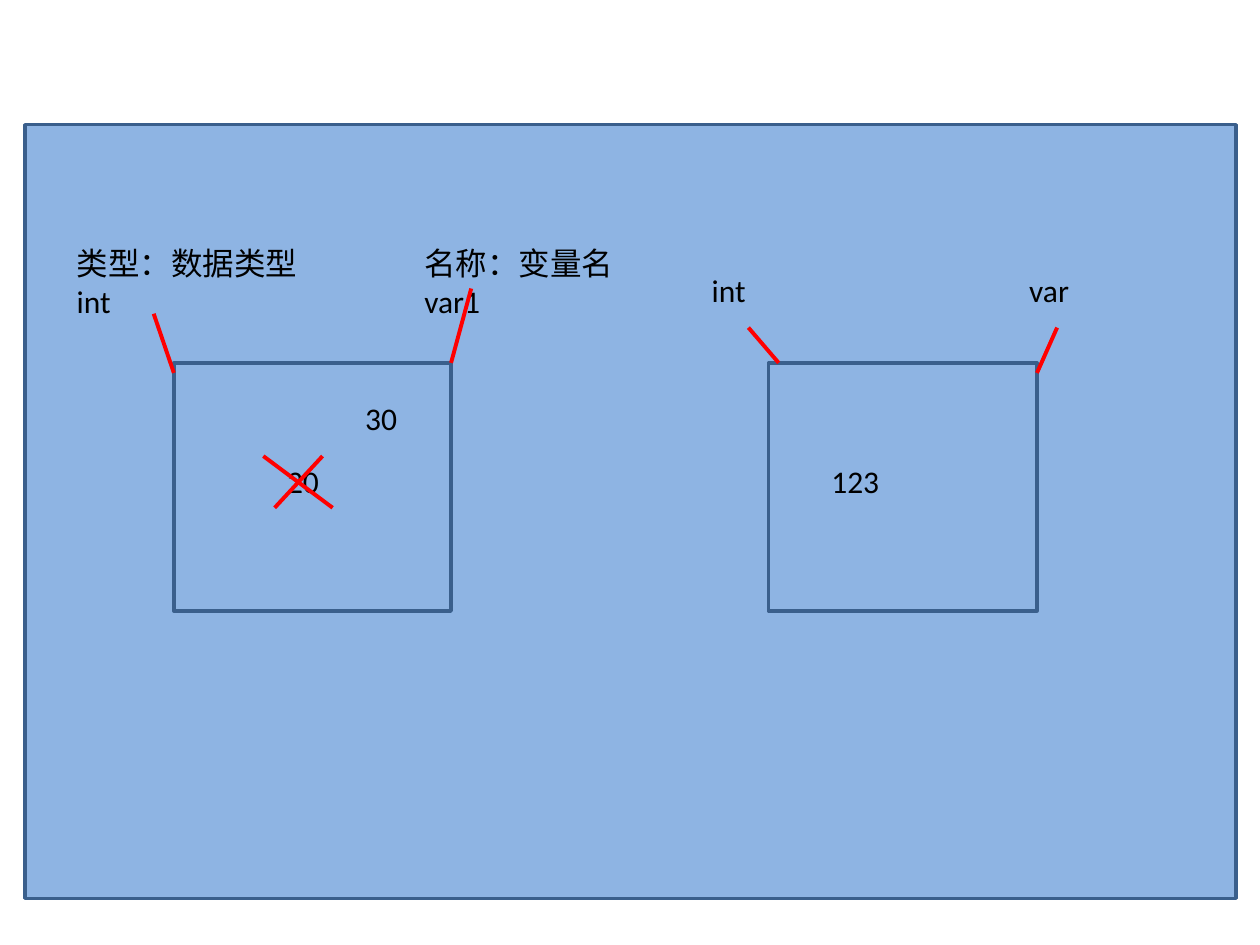
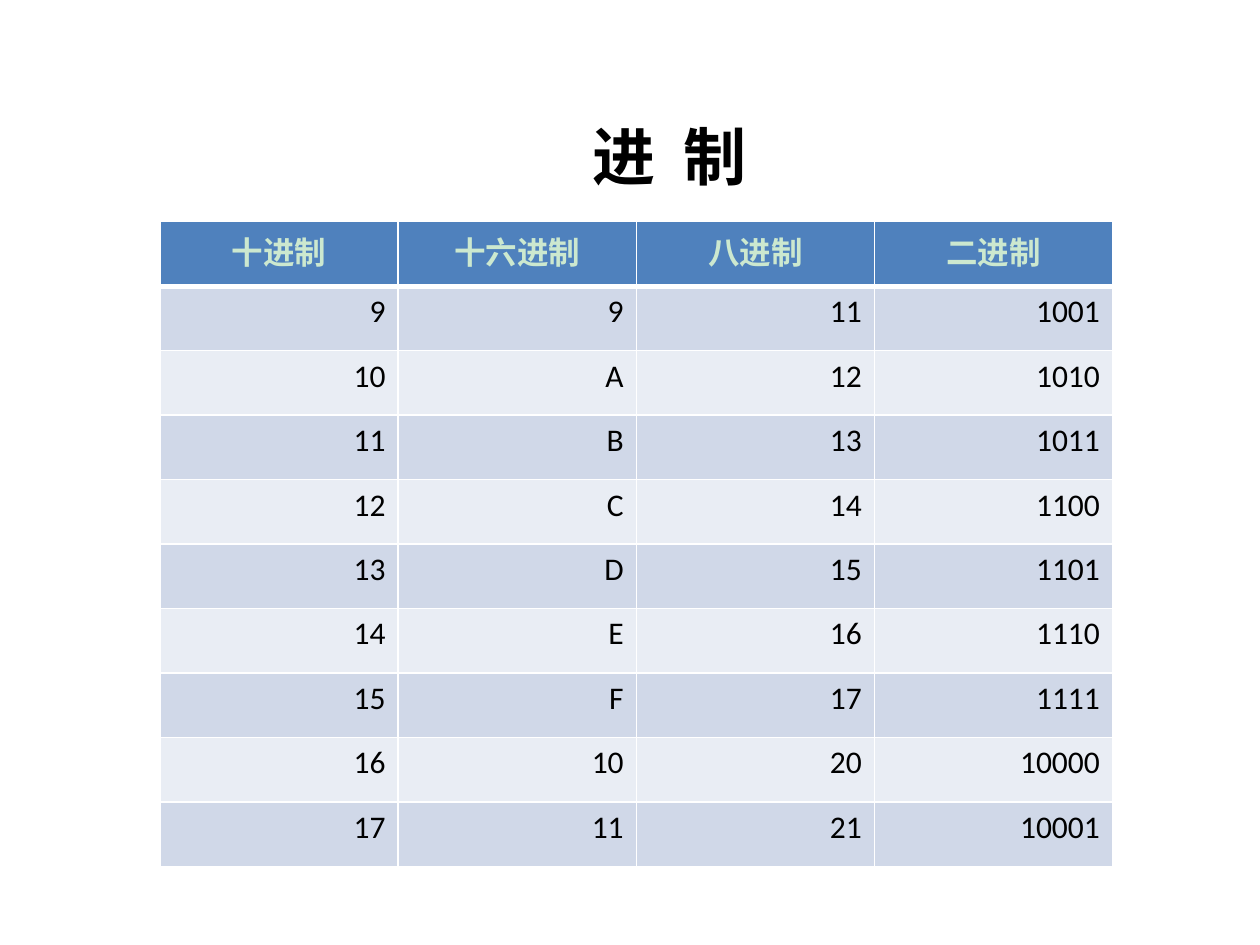
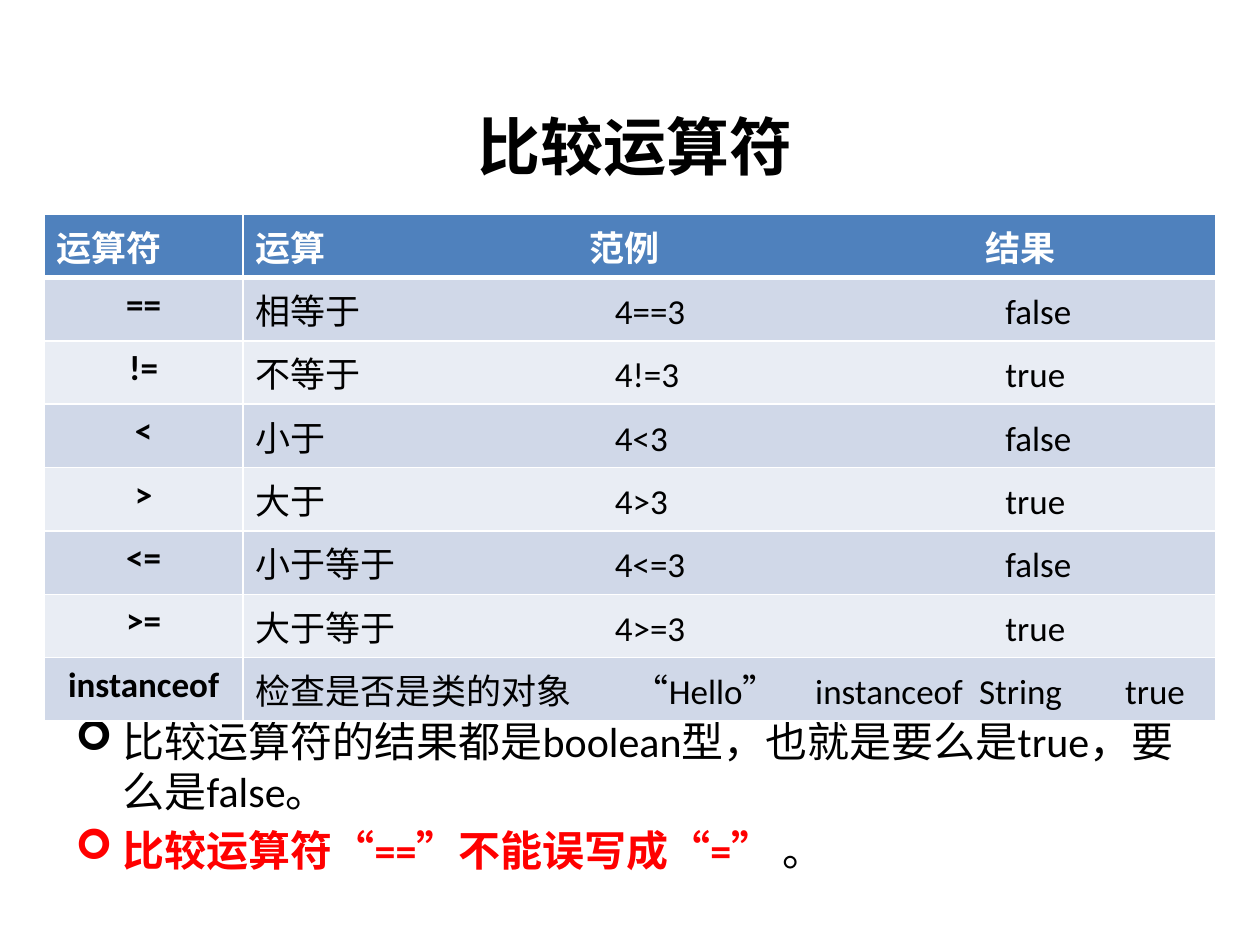
"""Build three slides on variables, number bases and comparison operators."""
from lxml import etree
from pptx import Presentation, util as u
from pptx.dml.color import RGBColor
from pptx.enum import shapes, text
from pptx.oxml.ns import qn

COLORS = {
    "memory": "8EB4E3", "outline": "3A5F8C", "red": "FF0000", "black": "000000",
    "white": "FFFFFF", "mint": "CCE8CF", "header": "4F81BD",
    "odd": "D0D8E8", "even": "E9EDF4",
}
RGB = {name: RGBColor.from_string(value) for name, value in COLORS.items()}
ALIGN = text.PP_ALIGN
COLUMNS, ROWS = 100, 75

presentation = Presentation()
presentation.slide_width, presentation.slide_height = u.Inches(10), u.Inches(7.5)
UNIT = presentation.slide_width // COLUMNS


def write(paragraph, words, size=18, color="black", bold=False, font="Calibri",
          align=ALIGN.LEFT, spacing=0):
    paragraph.alignment = align
    run = paragraph.add_run()
    run.text = words
    run.font.size, run.font.bold, run.font.name = u.Pt(size), bold, font
    run.font.color.rgb = RGB[color]
    if spacing:
        run.font._element.set("spc", str(spacing * 100))


def build_table(slide, rows, left, top, widths, row_height, formats, tabs):
    box = [int(v * UNIT) for v in (left, top, sum(widths), row_height * len(rows))]
    table = slide.shapes.add_table(len(rows), len(widths), *box).table
    for column, width in zip(table.columns, widths):
        column.width = int(width * UNIT)
    for r, row in enumerate(rows):
        table.rows[r].height = int(row_height * UNIT)
        for c, words in enumerate(row):
            cell = table.cell(r, c)
            properties = cell._tc.get_or_add_tcPr()
            for side in "LRTB":
                thick = (r, side) in ((0, "B"), (1, "T"))
                border = etree.SubElement(properties, qn(f"a:ln{side}"),
                                          w=str(u.Pt(3 if thick else 1)))
                fill = etree.SubElement(border, qn("a:solidFill"))
                etree.SubElement(fill, qn("a:srgbClr"), val=COLORS["white"])
            cell.fill.solid()
            cell.fill.fore_color.rgb = RGB["header" if r == 0 else "odd" if r % 2 else "even"]
            paragraph = cell.text_frame.paragraphs[0]
            if "\t" in words:
                tab_list = etree.SubElement(paragraph._p.get_or_add_pPr(), qn("a:tabLst"))
                for stop in tabs.get(r, tabs["default"]):
                    etree.SubElement(tab_list, qn("a:tab"), pos=str(int(stop * UNIT)), algn="l")
            write(paragraph, words, **formats["header" if r == 0 else c])


variables, bases, comparison = [
    presentation.slides.add_slide(presentation.slide_layouts[6]) for _ in range(3)]

for box in ((2, 9.9, 96.1, 61.4), (13.8, 28.8, 22, 19.7), (61, 28.8, 21.3, 19.7)):
    shape = variables.shapes.add_shape(shapes.MSO_SHAPE.RECTANGLE, *[int(v * UNIT) for v in box])
    shape.shadow.inherit = False
    shape.fill.solid()
    shape.fill.fore_color.rgb = RGB["memory"]
    shape.line.color.rgb = RGB["outline"]
    shape.line.width = u.Pt(2)

labels = (
    (5.1, 18.9, 24.4, ["类型：数据类型", "int"]),
    (32.7, 18.9, 19.7, ["名称：变量名", "var1"]),
    (21.8, 36.2, 15.4, ["20"]),
    (28, 31.2, 7.9, ["30"]),
    (55.5, 21, 11.8, ["int"]),
    (80.7, 21, 10.2, ["var"]),
    (65, 36.2, 17.3, ["123"]),
)
for left, top, width, lines in labels:
    box = (left, top, width, 0.9 + 3.1 * len(lines))
    frame = variables.shapes.add_textbox(*[int(v * UNIT) for v in box]).text_frame
    frame.word_wrap = True
    for index, words in enumerate(lines):
        write(frame.add_paragraph() if index else frame.paragraphs[0], words)

pointers = ((13.8, 29.6, 12.2, 24.9), (35.8, 28.8, 37.4, 22.9),
            (61.8, 28.8, 59.4, 26), (82.3, 29.6, 83.9, 26))
cross = ((20.9, 36.2, 26.4, 40.3), (25.6, 36.2, 21.8, 40.3))
for ends in pointers + cross:
    connector = variables.shapes.add_connector(
        shapes.MSO_CONNECTOR.STRAIGHT, *[int(v * UNIT) for v in ends])
    connector.line.color.rgb = RGB["red"]
    connector.line.width = u.Pt(2.25)
    etree.SubElement(connector._element.spPr, qn("a:effectLst"))

titles = ((bases, "进 制", (37.4, 7.6, 31.5, 9.4), 4),
          (comparison, "比较运算符", (24, 6.8, 52.8, 9.4), 0))
for slide, words, box, spacing in titles:
    frame = slide.shapes.add_textbox(*[int(v * UNIT) for v in box]).text_frame
    frame.word_wrap = True
    frame.vertical_anchor = text.MSO_ANCHOR.MIDDLE
    write(frame.paragraphs[0], words, size=36, bold=True, align=ALIGN.CENTER, spacing=spacing)

base_rows = [("十进制", "十六进制", "八进制", "二进制")]
base_rows += [(f"{n}", f"{n:X}", f"{n:o}", f"{n:b}") for n in range(9, 18)]
base_formats = {column: {"align": ALIGN.RIGHT} for column in range(4)}
base_formats["header"] = {"color": "mint", "bold": True, "align": ALIGN.CENTER}
build_table(bases, base_rows, 12.7, 17.6, [18.9] * 4, 5.12, base_formats, {})

frame = comparison.shapes.add_textbox(
    *[int(v * UNIT) for v in (5, 56.3, 90, 14.1)]).text_frame
frame.word_wrap = True
notes = (
    [("比较运算符的结果都是boolean型，也就是要么是true，要么是false。", {})],
    [("比较运算符“==”不能误写成“=” ", {"color": "red", "bold": True}), ("。", {})],
)
for index, runs in enumerate(notes):
    paragraph = frame.add_paragraph() if index else frame.paragraphs[0]
    properties = paragraph._p.get_or_add_pPr()
    properties.set("marL", str(int(3.75 * UNIT)))
    properties.set("indent", str(int(-3.75 * UNIT)))
    etree.SubElement(properties, qn("a:buFont"), typeface="Wingdings")
    etree.SubElement(properties, qn("a:buChar"), char="➢")
    if index:
        paragraph.space_before = u.Pt(4.8)
    for words, look in runs:
        write(paragraph, words, size=24, **look)

operator_rows = (
    ("运算符", "运算\t范例\t结果"),
    ("==", "相等于\t4==3\tfalse"),
    ("!=", "不等于\t4!=3\ttrue"),
    ("<", "小于\t4<3\tfalse"),
    (">", "大于\t4>3\ttrue"),
    ("<=", "小于等于\t4<=3\tfalse"),
    (">=", "大于等于\t4>=3\ttrue"),
    ("instanceof", "检查是否是类的对象\t“Hello”\tinstanceof\tString\ttrue"),
)
operator_formats = {
    "header": {"size": 20, "color": "white", "bold": True, "font": "Times New Roman"},
    0: {"size": 20, "bold": True, "align": ALIGN.CENTER},
    1: {"size": 20},
}
operator_tabs = {"default": (28.5, 59.5), 0: (26.5, 57.9), 7: (30, 44.4, 57.4, 69)}
build_table(comparison, operator_rows, 3.5, 17, (15.8, 77.2), 5.03,
            operator_formats, operator_tabs)

presentation.save("out.pptx")
